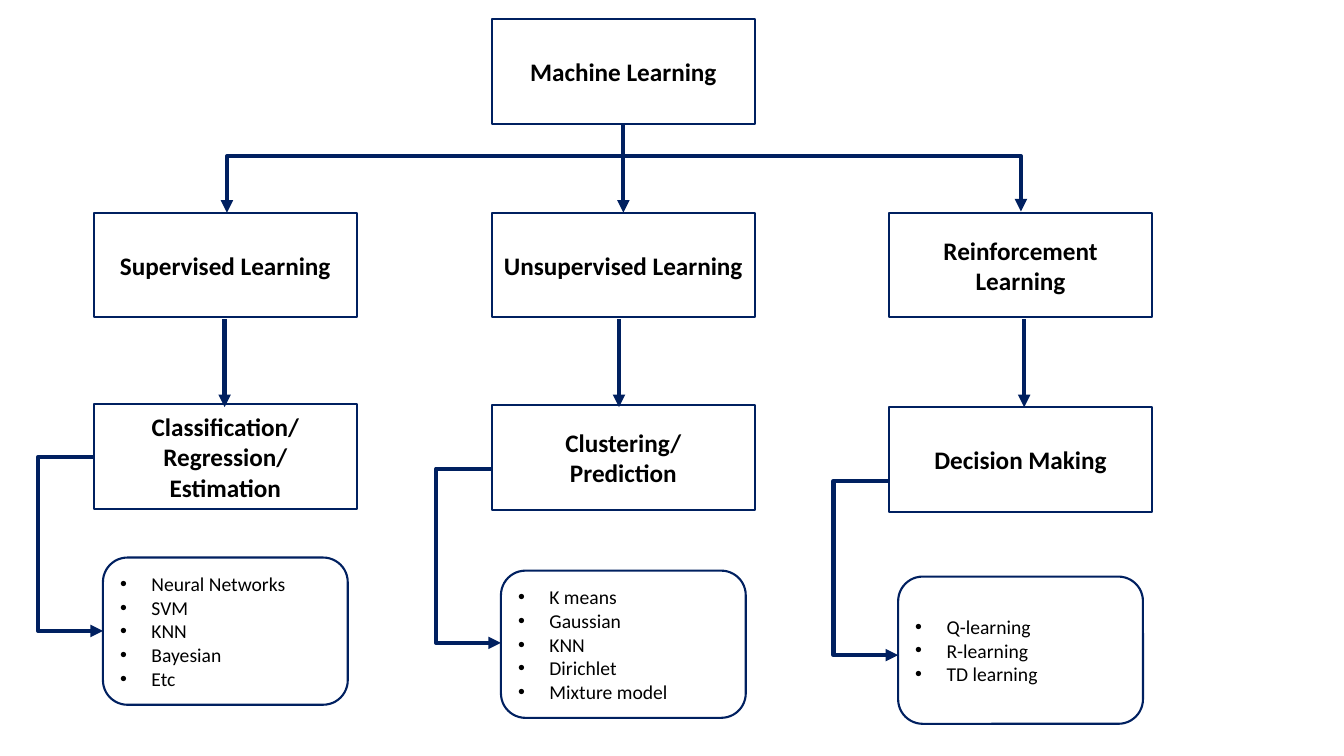
"""Tree of machine learning branches, their tasks and their methods."""
from dataclasses import dataclass

import lxml.etree
import pptx
import pptx.dml.color
import pptx.enum.shapes
import pptx.enum.text
import pptx.oxml.ns
import pptx.util

Cm = pptx.util.Cm
Pt = pptx.util.Pt
Shape = pptx.enum.shapes.MSO_SHAPE
Link = pptx.enum.shapes.MSO_CONNECTOR
Align = pptx.enum.text.PP_ALIGN
qn = pptx.oxml.ns.qn

NAVY = pptx.dml.color.RGBColor(0x00, 0x20, 0x60)
BLACK = pptx.dml.color.RGBColor(0x00, 0x00, 0x00)

# All lengths below are centimetres.
BOX_WIDTH, BOX_HEIGHT = 6.63, 2.64
LIST_WIDTH, LIST_HEIGHT = 6.17, 3.71
ROOT_TOP, BRANCH_TOP = 0.48, 5.36
ROOT_CENTRE = 15.71
TASK_ARROW = (8.05, 10.26)
BAR_LEFT, BAR_RIGHT, BAR_TOP = 5.72, 25.73, 3.94
BAR_END_STEP = 0.03
LOOP_OUT, LOOP_HEIGHT = 1.4, 4.39
BULLET_INDENT = 0.79

TITLE_FONT = {"name": "Calibri", "size": Pt(18), "bold": True}
LIST_FONT = {"name": "Calibri", "size": Pt(14), "bold": False}


@dataclass(frozen=True)
class Branch:
    """One column: a branch of learning, its task and its methods."""
    centre: float
    arrow_x: float
    name: str
    task: tuple[str, ...]
    task_top: float
    methods: tuple[str, ...]
    list_top: float
    loop_top: float


BRANCHES = (
    Branch(5.68, 5.66, "Supervised Learning",
           ("Classification/", "Regression/", "Estimation"), 10.19,
           ("Neural Networks", "SVM", "KNN", "Bayesian", "Etc"), 14.05, 11.51),
    Branch(ROOT_CENTRE, 15.6, "Unsupervised Learning",
           ("Clustering/", "Prediction"), 10.21,
           ("K means", "Gaussian", "KNN", "Dirichlet", "Mixture model"),
           14.38, 11.81),
    Branch(25.72, 25.81, "Reinforcement Learning",
           ("Decision Making",), 10.26,
           ("Q-learning", "R-learning", "TD learning"), 14.53, 12.12),
)


def add_bullet(para) -> None:
    """Give a paragraph a hanging round bullet."""
    properties = para._p.get_or_add_pPr()
    properties.set("marL", str(Cm(BULLET_INDENT)))
    properties.set("indent", str(-Cm(BULLET_INDENT)))
    lxml.etree.SubElement(properties, qn("a:buFont"), typeface="Arial")
    lxml.etree.SubElement(properties, qn("a:buChar"), char="•")


def add_box(page, kind, centre: float, top: float, width: float, height: float,
            lines: tuple[str, ...], font: dict, bullets: bool = False) -> None:
    """Draw an outlined box with one paragraph for each line."""
    box = page.shapes.add_shape(kind, Cm(centre - width / 2), Cm(top),
                                Cm(width), Cm(height))
    box.shadow.inherit = False
    box.fill.background()
    box.line.color.rgb = NAVY
    box.line.width = Pt(1.5)
    frame = box.text_frame
    frame.word_wrap = True
    frame.vertical_anchor = pptx.enum.text.MSO_ANCHOR.MIDDLE
    for index, line in enumerate(lines):
        para = frame.add_paragraph() if index else frame.paragraphs[0]
        para.alignment = Align.LEFT if bullets else Align.CENTER
        if bullets:
            add_bullet(para)
        span = para.add_run()
        span.text = line
        for name, value in font.items():
            setattr(span.font, name, value)
        span.font.color.rgb = BLACK


def add_title_box(page, centre: float, top: float, *lines: str) -> None:
    """Draw a square-cornered box with bold centred text."""
    add_box(page, Shape.RECTANGLE, centre, top, BOX_WIDTH, BOX_HEIGHT,
            lines, TITLE_FONT)


def add_arrow(page, start: tuple[float, float], end: tuple[float, float],
              bend: float | None = None, both_ends: bool = False):
    """Draw an arrow; bend places its elbow as a share of its width."""
    kind = Link.STRAIGHT if bend is None else Link.ELBOW
    arrow = page.shapes.add_connector(kind, *map(Cm, start + end))
    arrow.line.color.rgb = NAVY
    arrow.line.width = Pt(3)
    outline = arrow.line._get_or_add_ln()
    for tag in ("a:headEnd", "a:tailEnd") if both_ends else ("a:tailEnd",):
        lxml.etree.SubElement(outline, qn(tag), type="triangle")
    properties = arrow._element.spPr
    lxml.etree.SubElement(properties, qn("a:effectLst"))
    if bend is not None:
        guides = properties.find(qn("a:prstGeom")).get_or_add_avLst()
        lxml.etree.SubElement(guides, qn("a:gd"), name="adj1",
                              fmla=f"val {round(bend * 100000)}")
    return arrow


def add_bar(page) -> None:
    """Draw the double arrow from the root to the outer branches."""
    centre_x, centre_y = (BAR_LEFT + BAR_RIGHT) / 2, BRANCH_TOP - BAR_END_STEP / 2
    half_step, half_span = BAR_END_STEP / 2, (BAR_RIGHT - BAR_LEFT) / 2
    bar = add_arrow(page, (centre_x + half_step, centre_y + half_span),
                    (centre_x - half_step, centre_y - half_span),
                    (BRANCH_TOP - BAR_TOP) / BAR_END_STEP, both_ends=True)
    bar._element.spPr.find(qn("a:xfrm")).set("rot", str(90 * 60000))


def add_branch(page, branch: Branch) -> None:
    """Draw one column with its arrows."""
    add_title_box(page, branch.centre, BRANCH_TOP, branch.name)
    add_title_box(page, branch.centre, branch.task_top, *branch.task)
    add_box(page, Shape.ROUNDED_RECTANGLE, branch.centre, branch.list_top,
            LIST_WIDTH, LIST_HEIGHT, branch.methods, LIST_FONT, bullets=True)
    arrow_top, arrow_end = TASK_ARROW
    add_arrow(page, (branch.arrow_x, arrow_top), (branch.arrow_x, arrow_end))
    task_left = branch.centre - BOX_WIDTH / 2
    list_left = branch.centre - LIST_WIDTH / 2
    add_arrow(page, (task_left, branch.loop_top),
              (list_left, branch.loop_top + LOOP_HEIGHT),
              -LOOP_OUT / (list_left - task_left))


def main() -> None:
    """Build and save the deck."""
    deck = pptx.Presentation()
    deck.slide_width, deck.slide_height = Cm(33.87), Cm(19.05)
    page = deck.slides.add_slide(deck.slide_layouts[6])
    add_title_box(page, ROOT_CENTRE, ROOT_TOP, "Machine Learning")
    for branch in BRANCHES:
        add_branch(page, branch)
    add_arrow(page, (ROOT_CENTRE, ROOT_TOP + BOX_HEIGHT),
              (ROOT_CENTRE, BRANCH_TOP))
    add_bar(page)
    deck.save("out.pptx")


main()
